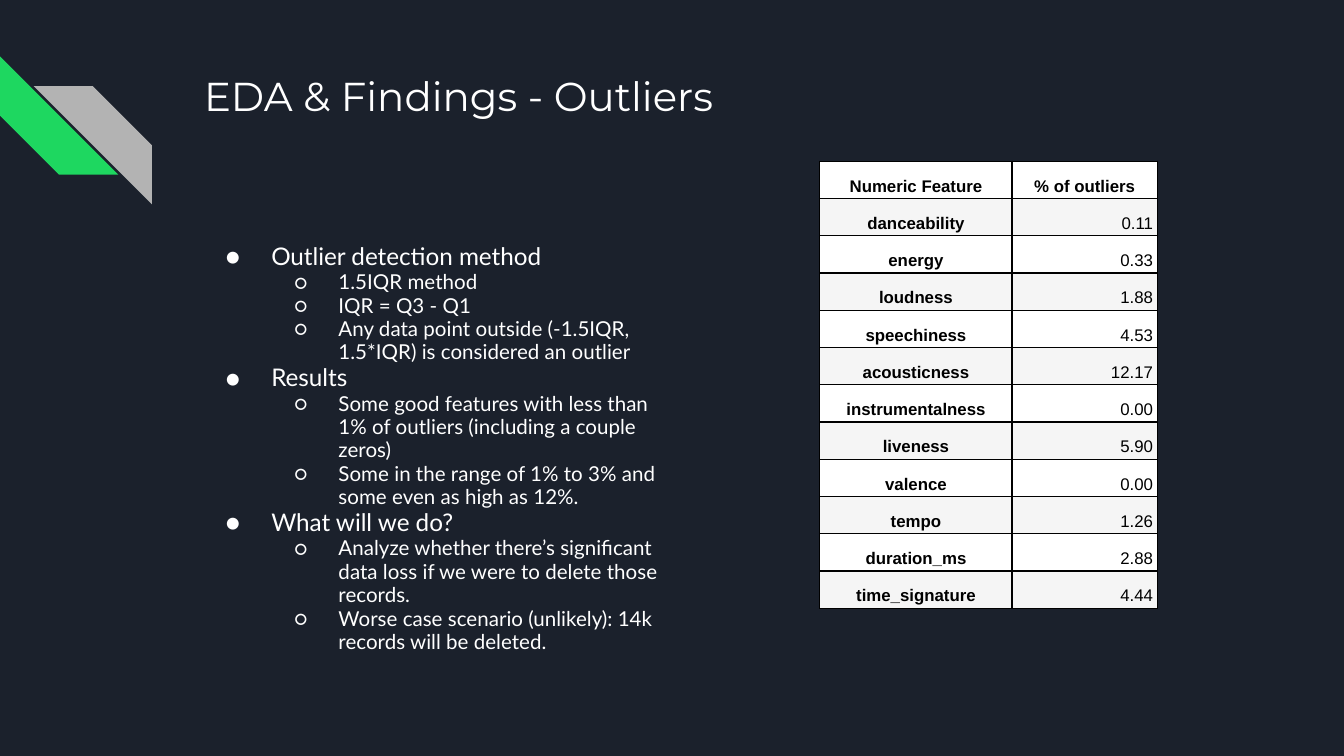
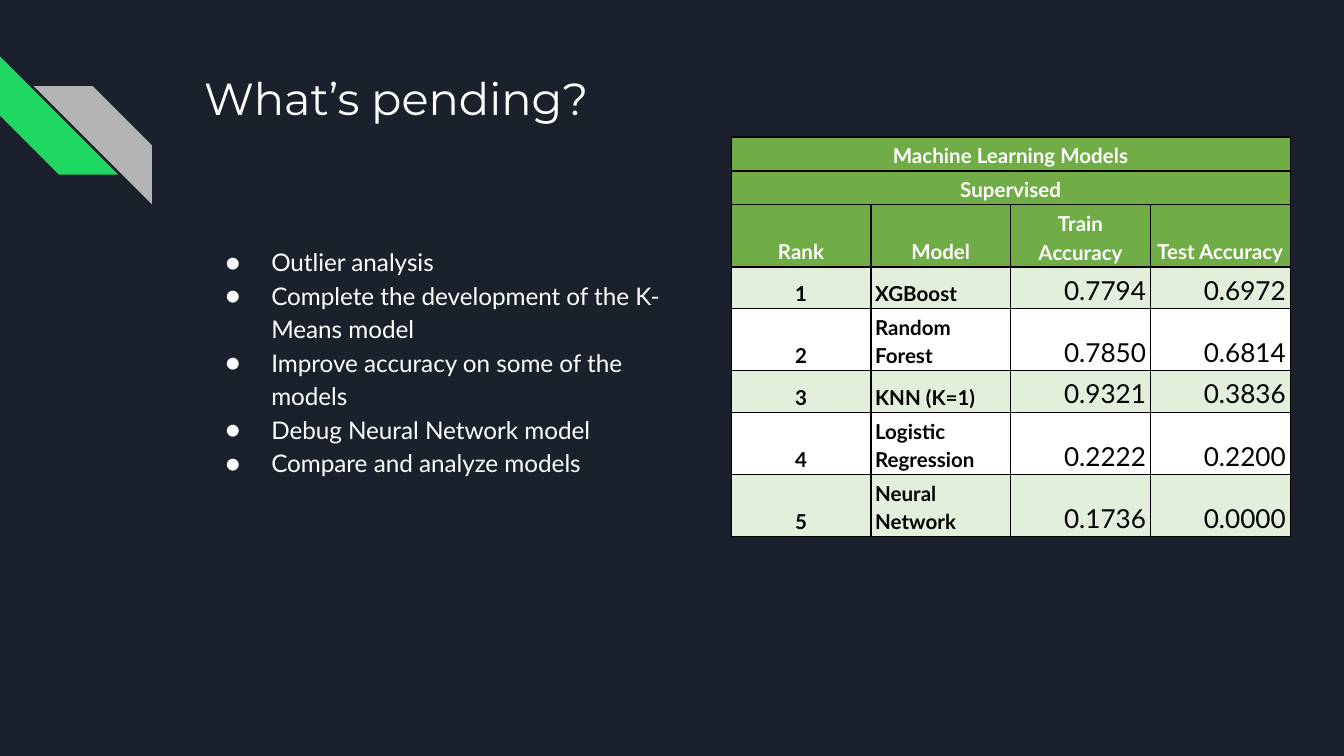
import pptx
import pptx.util
import pptx.dml.color
import pptx.enum.shapes
import pptx.enum.text
import pptx.oxml
import pptx.oxml.ns
import lxml.etree

Inches = pptx.util.Inches
Pt = pptx.util.Pt
Align = pptx.enum.text.PP_ALIGN

BACKGROUND, GREEN, GRAY, WHITE, BLACK = "1B212C", "1ED760", "B3B3B3", "FFFFFF", "000000"
BULLETS = [("●", 13, 0.5, -0.34), ("○", 11, 1, -0.33)]


def color(hex_code):
    return pptx.dml.color.RGBColor.from_string(hex_code)


def set_font(paragraph, name, size, hex_code, bold=False):
    paragraph.font.name = name
    paragraph.font.size = Pt(size)
    paragraph.font.bold = bold
    paragraph.font.color.rgb = color(hex_code)


topics = [
    {
        "title": "EDA & Findings - Outliers",
        "title_size": 21.6,
        "line_spacing": 0.95,
        "points": [
            (0, "Outlier detection method"),
            (1, "1.5IQR method"),
            (1, "IQR = Q3 - Q1"),
            (1, "Any data point outside (-1.5IQR, 1.5*IQR) is considered an outlier"),
            (0, "Results"),
            (1, "Some good features with less than 1% of outliers (including a couple zeros)"),
            (1, "Some in the range of 1% to 3% and some even as high as 12%."),
            (0, "What will we do?"),
            (1, "Analyze whether there’s significant data loss if we were to delete those records."),
            (1, "Worse case scenario (unlikely): 14k records will be deleted."),
        ],
        "table_at": (6.1, 1.2),
        "column_widths": [1.43, 1.08],
        "row_heights": [3.33 / 12] * 12,
        "alignments": [Align.CENTER, Align.RIGHT],
        "table_font": "Arial",
        "label_size": 9,
        "number_size": 9,
        "header_rows": 1,
        "header_colors": (WHITE, BLACK),
        "band_fills": ["F5F5F5", WHITE],
        "rows": [
            ["Numeric Feature", "% of outliers"],
            ["danceability", "0.11"],
            ["energy", "0.33"],
            ["loudness", "1.88"],
            ["speechiness", "4.53"],
            ["acousticness", "12.17"],
            ["instrumentalness", "0.00"],
            ["liveness", "5.90"],
            ["valence", "0.00"],
            ["tempo", "1.26"],
            ["duration_ms", "2.88"],
            ["time_signature", "4.44"],
        ],
    },
    {
        "title": "What’s pending?",
        "title_size": 24,
        "line_spacing": 1.15,
        "points": [
            (0, "Outlier analysis"),
            (0, "Complete the development of the K-Means model"),
            (0, "Improve accuracy on some of the models"),
            (0, "Debug Neural Network model"),
            (0, "Compare and analyze models"),
        ],
        "table_at": (5.44, 1.02),
        "column_widths": [1.04] * 4,
        "row_heights": [0.24] * 6 + [0.43] * 2,
        "alignments": [Align.CENTER, Align.LEFT, Align.RIGHT, Align.RIGHT],
        "table_font": "Lato",
        "label_size": 11,
        "number_size": 14,
        "header_rows": 3,
        "header_colors": ("70AD47", WHITE),
        "band_fills": ["E2EFDA", WHITE],
        "rows": [
            ["Machine Learning Models"],
            ["Supervised"],
            ["Rank", "Model", "Train Accuracy", "Test Accuracy"],
            ["1", "XGBoost", "0.7794", "0.6972"],
            ["2", "Random Forest", "0.7850", "0.6814"],
            ["3", "KNN (K=1)", "0.9321", "0.3836"],
            ["4", "Logistic Regression", "0.2222", "0.2200"],
            ["5", "Neural Network", "0.1736", "0.0000"],
        ],
    },
]

deck = pptx.Presentation()
deck.slide_width = Inches(10)
deck.slide_height = deck.slide_width * 9 // 16
deck.slide_master.background.fill.solid()
deck.slide_master.background.fill.fore_color.rgb = color(BACKGROUND)

for topic in topics:
    slide = deck.slides.add_slide(deck.slide_layouts[6])

    for left, top, stripe_color in [(0, 0.42, GREEN), (0.25, 0.64, GRAY)]:
        stripe = slide.shapes.add_shape(
            pptx.enum.shapes.MSO_SHAPE.DIAGONAL_STRIPE,
            Inches(left), Inches(top), Inches(0.88), Inches(0.88))
        stripe.shadow.inherit = False
        stripe.fill.solid()
        stripe.fill.fore_color.rgb = color(stripe_color)
        stripe.line.fill.background()
        if stripe_color == GREEN:
            stripe.rotation = 270
        else:
            stripe._element.spPr.xfrm.set("flipH", "1")

    title = slide.shapes.add_textbox(Inches(1.42), Inches(0.43), Inches(7.7), Inches(1))
    body = slide.shapes.add_textbox(Inches(1.42), Inches(1.71), Inches(3.72), Inches(3.18))
    for frame in (title.text_frame, body.text_frame):
        frame.word_wrap = True
        frame.margin_left = frame.margin_right = Inches(0.1)
        frame.margin_top = frame.margin_bottom = Inches(0.1)

    title.text_frame.text = topic["title"]
    set_font(title.text_frame.paragraphs[0], "Montserrat", topic["title_size"], WHITE)

    body.text_frame.text = "\n".join(text for level, text in topic["points"])
    for paragraph, (level, text) in zip(body.text_frame.paragraphs, topic["points"]):
        symbol, size, margin, indent = BULLETS[level]
        paragraph.level = level
        paragraph.line_spacing = topic["line_spacing"]
        properties = paragraph._p.get_or_add_pPr()
        properties.set("marL", str(Inches(margin)))
        properties.set("indent", str(Inches(indent)))
        bullet_color = lxml.etree.SubElement(properties, pptx.oxml.ns.qn("a:buClr"))
        lxml.etree.SubElement(bullet_color, pptx.oxml.ns.qn("a:srgbClr"), val=WHITE)
        lxml.etree.SubElement(properties, pptx.oxml.ns.qn("a:buFont"), typeface="Lato")
        lxml.etree.SubElement(properties, pptx.oxml.ns.qn("a:buChar"), char=symbol)
        set_font(paragraph, "Lato", size, WHITE)

    left, top = topic["table_at"]
    widths, heights = topic["column_widths"], topic["row_heights"]
    table = slide.shapes.add_table(
        len(heights), len(widths), Inches(left), Inches(top),
        Inches(sum(widths)), Inches(sum(heights))).table
    for column, width in zip(table.columns, widths):
        column.width = Inches(width)

    for row_index, values in enumerate(topic["rows"]):
        table.rows[row_index].height = Inches(heights[row_index])
        if len(values) == 1:
            table.cell(row_index, 0).merge(table.cell(row_index, len(widths) - 1))
        is_header = row_index < topic["header_rows"]
        if is_header:
            cell_fill, text_color = topic["header_colors"]
        else:
            cell_fill = topic["band_fills"][(row_index - topic["header_rows"]) % 2]
            text_color = BLACK

        for column_index, alignment in enumerate(topic["alignments"]):
            cell = table.cell(row_index, column_index)
            if column_index < len(values):
                cell.text = values[column_index]
            cell.vertical_anchor = pptx.enum.text.MSO_ANCHOR.BOTTOM
            cell.margin_left = cell.margin_right = Pt(2.25)
            cell.margin_top = cell.margin_bottom = Pt(1.5)
            for side in ("lnL", "lnR", "lnT", "lnB"):
                border = lxml.etree.SubElement(
                    cell._tc.get_or_add_tcPr(), pptx.oxml.ns.qn("a:" + side), w=str(Pt(0.75)))
                border_fill = lxml.etree.SubElement(border, pptx.oxml.ns.qn("a:solidFill"))
                lxml.etree.SubElement(border_fill, pptx.oxml.ns.qn("a:srgbClr"), val=BLACK)
            cell.fill.solid()
            cell.fill.fore_color.rgb = color(cell_fill)

            is_number = alignment == Align.RIGHT and not is_header
            paragraph = cell.text_frame.paragraphs[0]
            paragraph.alignment = Align.CENTER if is_header else alignment
            paragraph.line_spacing = 1.15
            set_font(paragraph, topic["table_font"],
                     topic["number_size"] if is_number else topic["label_size"],
                     text_color, bold=not is_number)

deck.save("out.pptx")
